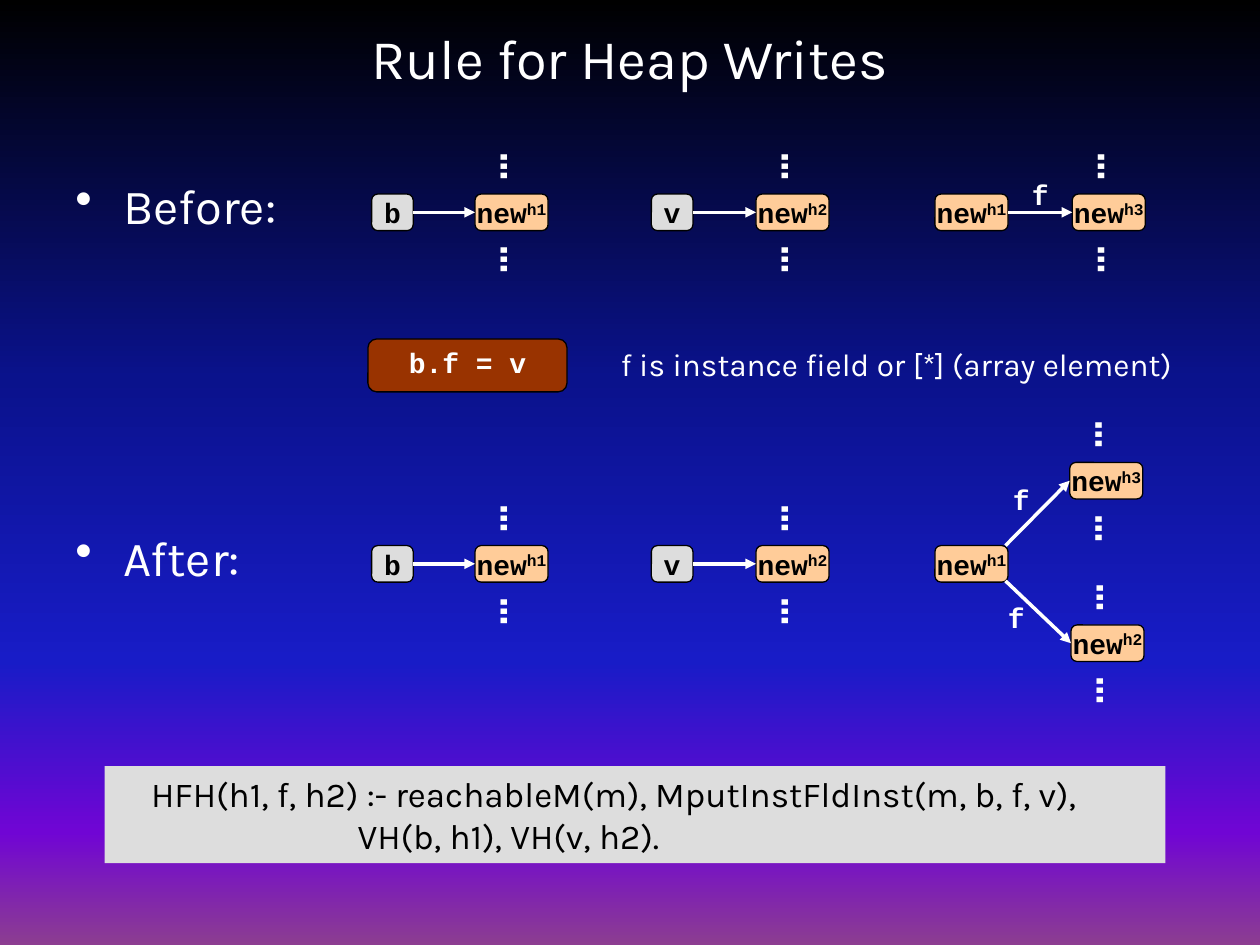
from lxml import etree
from pptx import Presentation
from pptx.dml.color import RGBColor
from pptx.enum.shapes import MSO_CONNECTOR, MSO_SHAPE
from pptx.enum.text import MSO_ANCHOR, PP_ALIGN
from pptx.oxml.ns import qn
from pptx.util import Inches, Pt

ROUND, RECT = MSO_SHAPE.ROUNDED_RECTANGLE, MSO_SHAPE.RECTANGLE
LINE = MSO_CONNECTOR.STRAIGHT
LEFT, MID = PP_ALIGN.LEFT, PP_ALIGN.CENTER
TOP, CENTER = MSO_ANCHOR.TOP, MSO_ANCHOR.MIDDLE
MONO, SANS = "Courier New", "Karla"
WHITE, BLACK, GREY, PEACH, RUST = "FFFFFF", "000000", "DDDDDD", "FFCC99", "993300"
RIGHT_SIDE, LEFT_SIDE = 3, 1

hue = RGBColor.from_string

deck = Presentation()
deck.slide_width, deck.slide_height = Inches(10), Inches(7.5)
slide = deck.slides.add_slide(deck.slide_layouts[6])
shapes = slide.shapes


def put(text, at, kind=None, fill=None, edge=None, size=16, font=MONO, color=WHITE,
        bold=False, align=LEFT, anchor=TOP, wrap=True, turn=0, space=None):
    """Add text in a box or shape; a caret starts a superscript."""
    place = [Inches(n) for n in at]
    if kind is None:
        box = shapes.add_textbox(*place)
    else:
        box = shapes.add_shape(kind, *place)
        box.shadow.inherit = False
        box.fill.solid()
        box.fill.fore_color.rgb = hue(fill)
        if edge:
            box.line.color.rgb = hue(edge)
            box.line.width = Pt(0.75)
        else:
            box.line.fill.background()
    box.rotation = turn
    frame = box.text_frame
    frame.word_wrap = wrap
    frame.vertical_anchor = anchor
    for i, row in enumerate(text.split("\n")):
        para = frame.add_paragraph() if i else frame.paragraphs[0]
        para.alignment = align
        if space:
            para.line_spacing = space
        for j, part in enumerate(row.split("^")):
            run = para.add_run()
            run.text = part
            run.font.size, run.font.name, run.font.bold = Pt(size), font, bold
            run.font.color.rgb = hue(color)
            if j:
                run.font._element.set("baseline", "30000")
    return box


def join(start, end, side=None):
    """Draw an arrow from a node's side, or from a point, to a node's left side."""
    x, y = (0, 0) if side is not None else [Inches(n) for n in start]
    arrow = shapes.add_connector(LINE, x, y, end.left, end.top + end.height // 2)
    if side is not None:
        arrow.begin_connect(start, side)
    arrow.end_connect(end, LEFT_SIDE)
    arrow.line.color.rgb = hue(WHITE)
    arrow.line.width = Pt(2)
    etree.SubElement(arrow.line._get_or_add_ln(), qn("a:tailEnd"), type="triangle")
    etree.SubElement(arrow._element.spPr, qn("a:effectLst"))


# Background gradient
fill = slide.background.fill
fill.gradient()
fill.gradient_angle = 270
stops = next(slide._element.iter(qn("a:gsLst")))
for old in list(stops):
    stops.remove(old)
for pos, tone in [(0, BLACK), (40, "0A128C"), (70, "181CC7"), (88, "7005D4"), (100, "8C3D91")]:
    stop = etree.SubElement(stops, qn("a:gs"), pos=str(pos * 1000))
    etree.SubElement(stop, qn("a:srgbClr"), val=tone)

# Title and the two bullets
put("Rule for Heap Writes", (0, 0.08, 10, 0.75), size=32, font=SANS, align=MID, anchor=CENTER)
body = put("Before:\nAfter:", (0.5, 1.34, 2.17, 4.15), size=28, font=SANS)
for para in body.text_frame.paragraphs:
    props = para._p.get_or_add_pPr()
    props.set("marL", str(Inches(0.38)))
    props.set("indent", str(-Inches(0.38)))
    etree.SubElement(props, qn("a:buChar"), char="•")
body.text_frame.paragraphs[1].space_before = Pt(168)

# Statement and its note
put("b.f = v", (2.92, 2.69, 1.58, 0.42), ROUND, RUST, BLACK,
    bold=True, align=MID, anchor=CENTER, wrap=False, space=0.8)
put("f is instance field or [*] (array element)", (4.83, 2.69, 4.75, 0.4), size=18, font=SANS)

# Nodes: variables are grey, heap objects are peach
before, after = 1.54, 4.33
nodes = {}
for name, x, y in [
    ("b", 2.95, before), ("new^h1", 3.77, before),
    ("v", 5.17, before), ("new^h2", 6, before),
    ("new^h1", 7.42, before), ("new^h3", 8.51, before),
    ("b", 2.95, after), ("new^h1", 3.77, after),
    ("v", 5.17, after), ("new^h2", 6, after),
    ("new^h1", 7.42, after), ("new^h3", 8.49, 3.67), ("new^h2", 8.5, 4.96),
]:
    heap = name.startswith("new")
    nodes[x, y] = put(name, (x, y, 0.58 if heap else 0.33, 0.29), ROUND,
                      PEACH if heap else GREY, BLACK, color=BLACK, bold=True,
                      align=MID, anchor=CENTER, wrap=False)
    # Dots above and below each object that is pointed to
    if heap and x != 7.42:
        for gap in (-0.43, 0.31):
            put("…", (x + 0.09, y + gap, 0.5, 0.52), size=25, bold=True, turn=90)

# Arrows
for y in (before, after):
    for x, to in [(2.95, 3.77), (5.17, 6)]:
        join(nodes[x, y], nodes[to, y], RIGHT_SIDE)
join(nodes[7.42, before], nodes[8.51, before], RIGHT_SIDE)
join((7.98, 4.33), nodes[8.49, 3.67])
join((7.98, 4.61), nodes[8.5, 4.96])

# Field labels
for x, y in [(8.09, 1.36), (7.94, 3.78), (7.9, 4.72)]:
    put("f", (x, y, 0.42, 0.37), bold=True)

# Datalog rule
rule = put("HFH(h1, f, h2) :- reachableM(m), MputInstFldInst(m, b, f, v),\nVH(b, h1), VH(v, h2).",
           (0.83, 6.08, 8.42, 0.77), RECT, GREY, size=20, font=SANS, color=BLACK)
for para, inset in zip(rule.text_frame.paragraphs, (0.27, 1.91)):
    para._p.get_or_add_pPr().set("marL", str(Inches(inset)))

deck.save("out.pptx")
